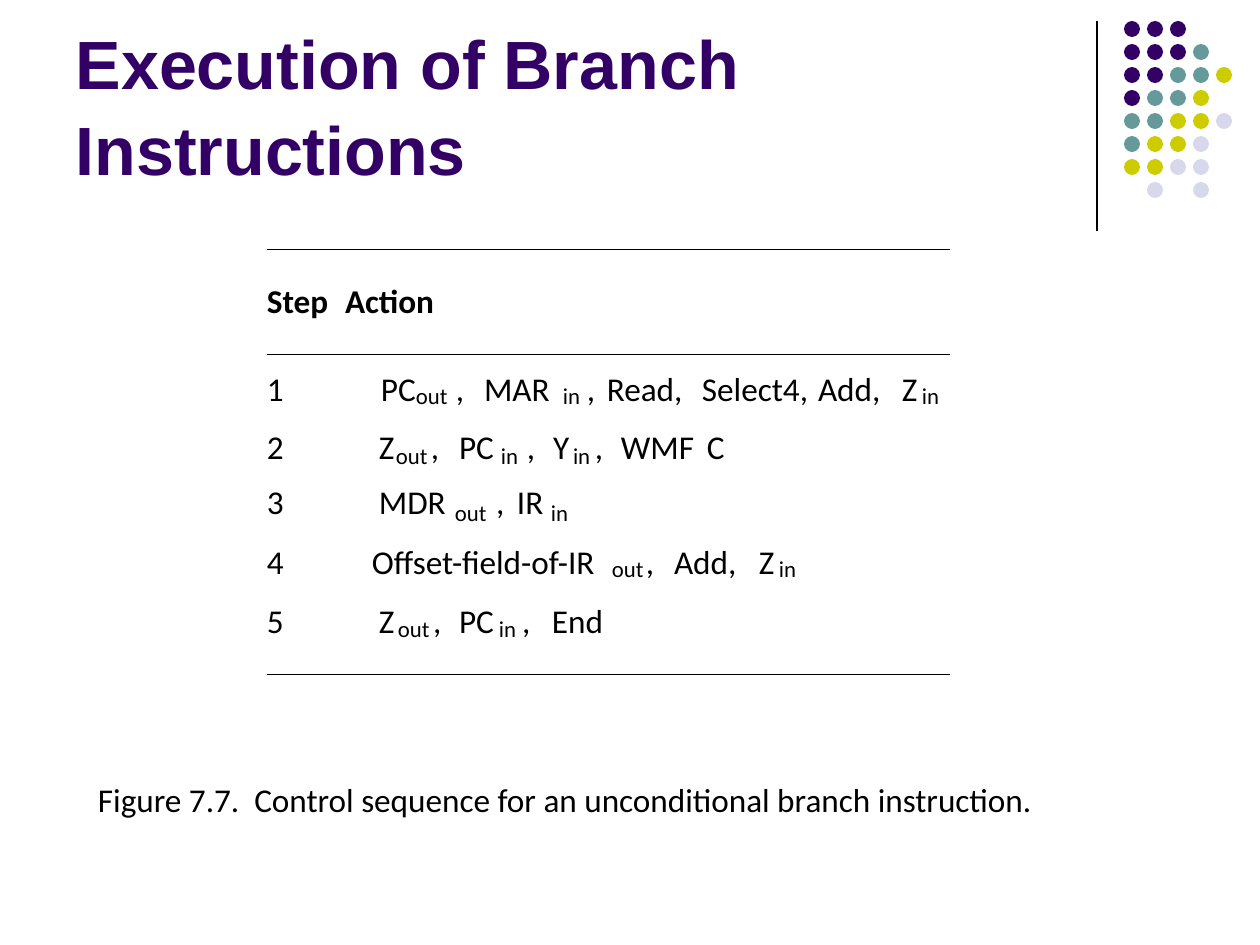
from lxml import etree
from pptx import Presentation
from pptx.dml.color import RGBColor
from pptx.enum.shapes import MSO_CONNECTOR as CONN, MSO_SHAPE as SHAPE
from pptx.enum.text import MSO_ANCHOR as ANCHOR, MSO_AUTO_SIZE as FIT, PP_ALIGN as ALIGN
from pptx.oxml.ns import qn
from pptx.util import Pt

PX = 914400 // 126
COLORS = {"ink": "000000", "P": "330066", "T": "669999", "Y": "CCCC00", "L": "D8D8EC"}

TITLE = "Execution of Branch Instructions"
CAPTION = "Figure 7.7.  Control sequence for an unconditional branch instruction."
HEADERS = [("Step", 267), ("Action", 345)]
# (top, subscript drop, [(text, left), ...])
STEPS = [
    (368, 14, [("1", 267), ("PC", 381), ("out", 416), (",", 456), ("MAR", 484), ("in", 563),
               (",", 587), ("Read,", 607), ("Select4,", 702), ("Add,", 818), ("Z", 902),
               ("in", 922)]),
    (426, 16, [("2", 267), ("Z", 379), ("out", 396), (",", 431), ("PC", 459), ("in", 501),
               (",", 527), ("Y", 553), ("in", 573), (",", 595), ("WMF", 621), ("C", 707)]),
    (481, 18, [("3", 267), ("MDR", 379), ("out", 455), (",", 496), ("IR", 517), ("in", 551)]),
    (541, 14, [("4", 267), ("Offset-field-of-IR", 372), ("out", 612), (",", 646),
               ("Add,", 674), ("Z", 759), ("in", 779)]),
    (600, 15, [("5", 267), ("Z", 379), ("out", 398), (",", 433), ("PC", 459), ("in", 499),
               (",", 522), ("End", 552)]),
]
WIDTHS = {"Step": 73, "Action": 107, "PC": 42, "MAR": 72, "Read,": 87, "Select4,": 120,
          "Add,": 71, "WMF": 78, "C": 21, "MDR": 76, "IR": 32, "Offset-field-of-IR": 258,
          "End": 59, "out": 37, "in": 20, ",": 9}
SUBSCRIPTS = {"out", "in"}
RULES = [249, 354, 674]
DOTS = ["PPP", "PPPT", "PPTTY", "PTTY", "TTYYL", "TYYL", "YYLL", " L L"]
DOT_LEFT, DOT_TOP, DOT_STEP, DOT_SIZE = 1124, 21, 23, 16


def rgb(name):
    return RGBColor.from_string(COLORS[name])


def put_text(tf, text, size=19, font="Calibri", color="ink", bold=False):
    p = tf.paragraphs[0]
    p.alignment = ALIGN.LEFT
    r = p.add_run()
    r.text = text
    r.font.size, r.font.name, r.font.bold = Pt(size), font, bold
    r.font.color.rgb = rgb(color)
    return p


def add_label(slide, text, x, y, w, h=40, **fmt):
    tf = slide.shapes.add_textbox(x * PX, y * PX, w * PX, h * PX).text_frame
    tf.margin_left = tf.margin_top = tf.margin_right = tf.margin_bottom = 0
    tf.word_wrap = False
    tf.auto_size = FIT.SHAPE_TO_FIT_TEXT
    put_text(tf, text, **fmt)


def add_line(slide, x1, y1, x2, y2, weight):
    line = slide.shapes.add_connector(CONN.STRAIGHT, x1 * PX, y1 * PX, x2 * PX, y2 * PX)
    line.line.color.rgb = rgb("ink")
    line.line.width = Pt(weight)
    etree.SubElement(line._element.spPr, qn("a:effectLst"))


def add_dots(slide):
    for row, codes in enumerate(DOTS):
        for col, code in enumerate(codes):
            if code == " ":
                continue
            sp = slide.shapes.add_shape(
                SHAPE.OVAL, (DOT_LEFT + col * DOT_STEP) * PX, (DOT_TOP + row * DOT_STEP) * PX,
                DOT_SIZE * PX, DOT_SIZE * PX)
            sp.shadow.inherit = False
            sp.fill.solid()
            sp.fill.fore_color.rgb = rgb(code)
            sp.line.fill.background()


def add_title(slide):
    sp = slide.shapes.title
    sp.left, sp.top, sp.width, sp.height = (v * PX for v in (63, 16, 1040, 179))
    tf = sp.text_frame
    tf.word_wrap = True
    tf.auto_size = FIT.NONE
    tf.vertical_anchor = ANCHOR.BOTTOM
    p = put_text(tf, TITLE, size=39, font="Arial", color="P", bold=True)
    p.line_spacing = 1.05


def main():
    prs = Presentation()
    prs.slide_width, prs.slide_height = 1260 * PX, 945 * PX
    slide = prs.slides.add_slide(prs.slide_layouts[5])
    add_title(slide)
    add_line(slide, 1097, 21, 1097, 231, 0.75)
    add_dots(slide)
    for y in RULES:
        add_line(slide, 267, y, 950, y, 0.5)
    for text, x in HEADERS:
        add_label(slide, text, x, 280, WIDTHS[text], bold=True)
    for top, drop, parts in STEPS:
        for text, x in parts:
            w = WIDTHS.get(text, 19)
            if text in SUBSCRIPTS:
                add_label(slide, text, x, top + drop, w, h=28, size=13)
            else:
                add_label(slide, text, x, top, w)
    add_label(slide, CAPTION, 98, 779, 1084)
    prs.save("out.pptx")


if __name__ == "__main__":
    main()
